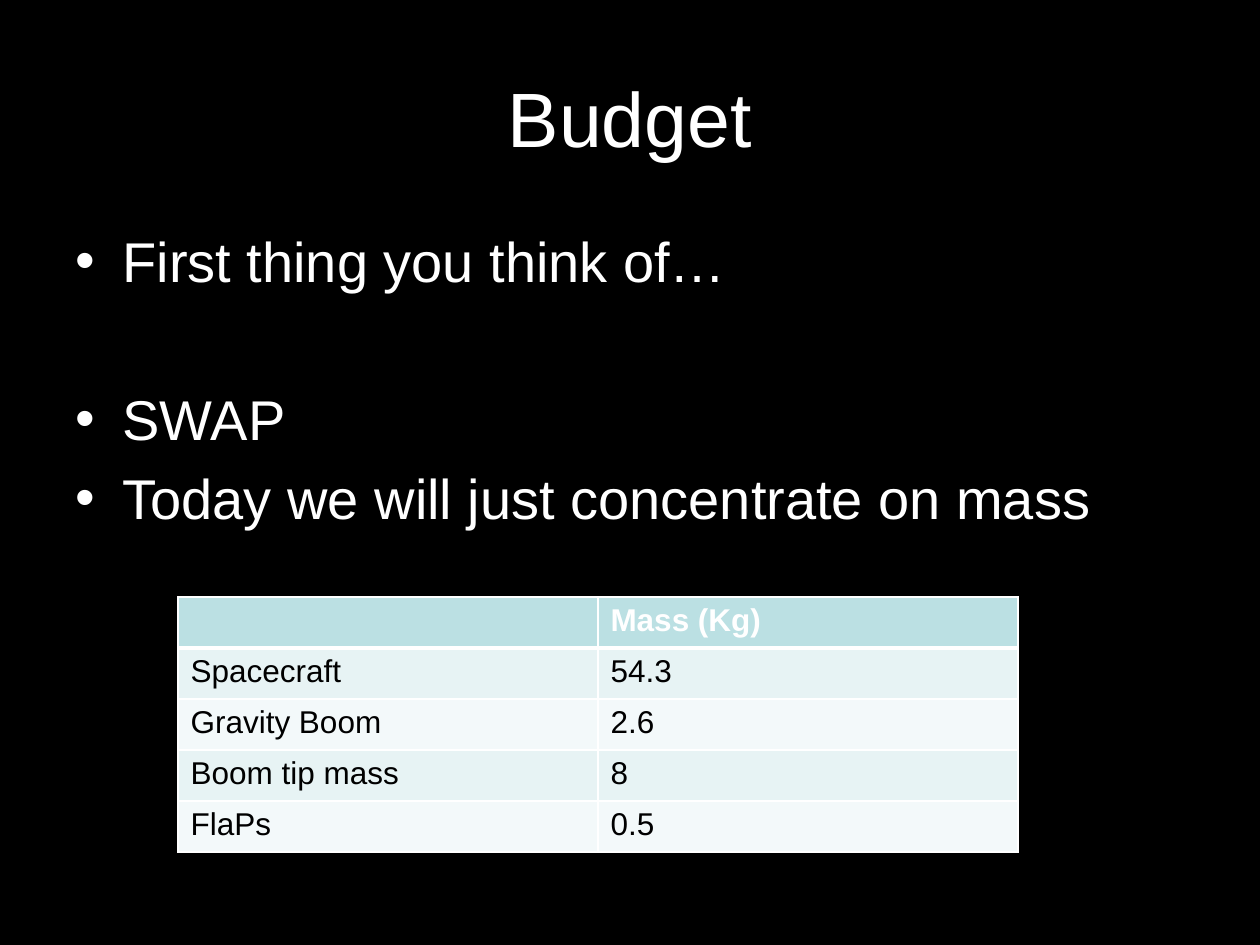
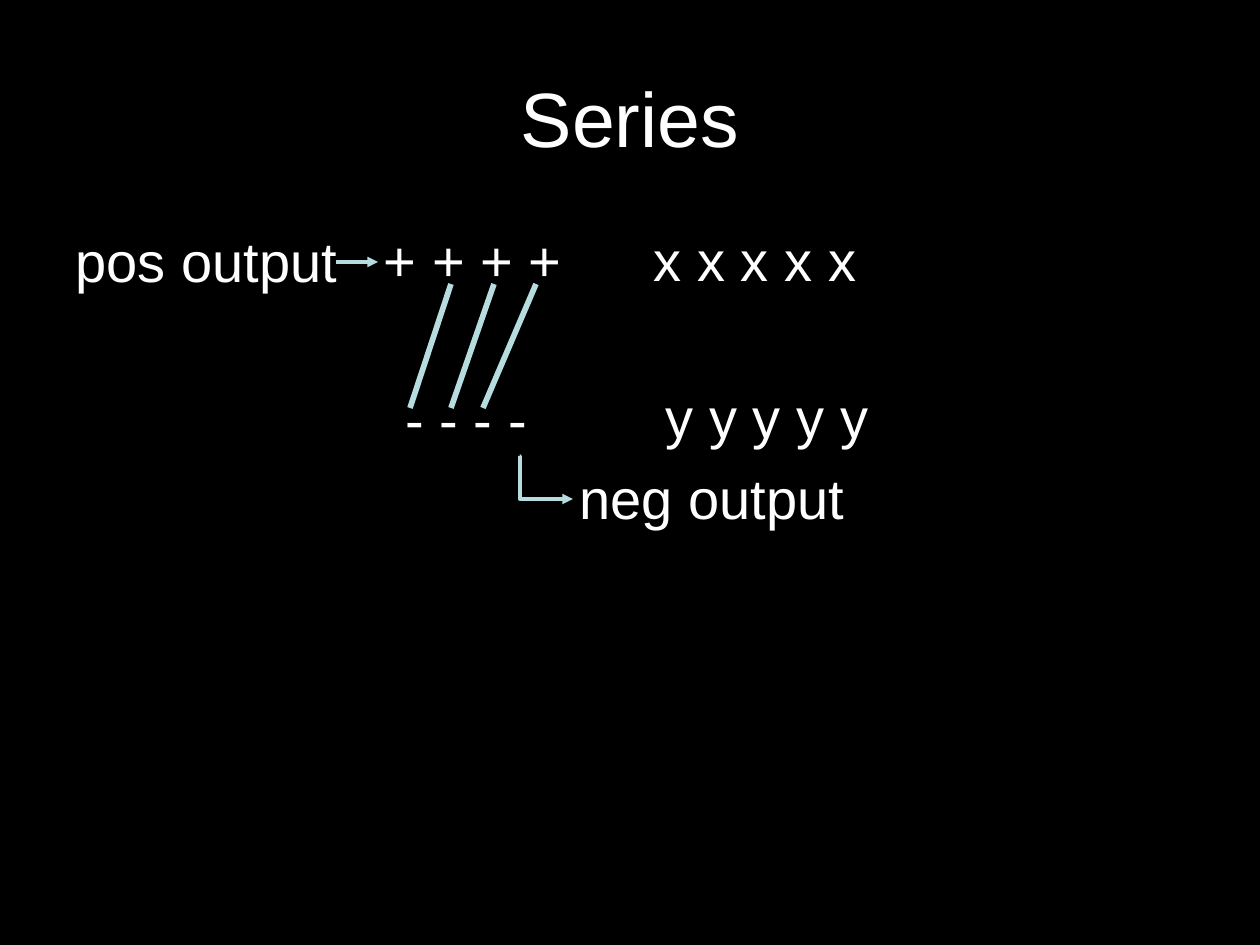
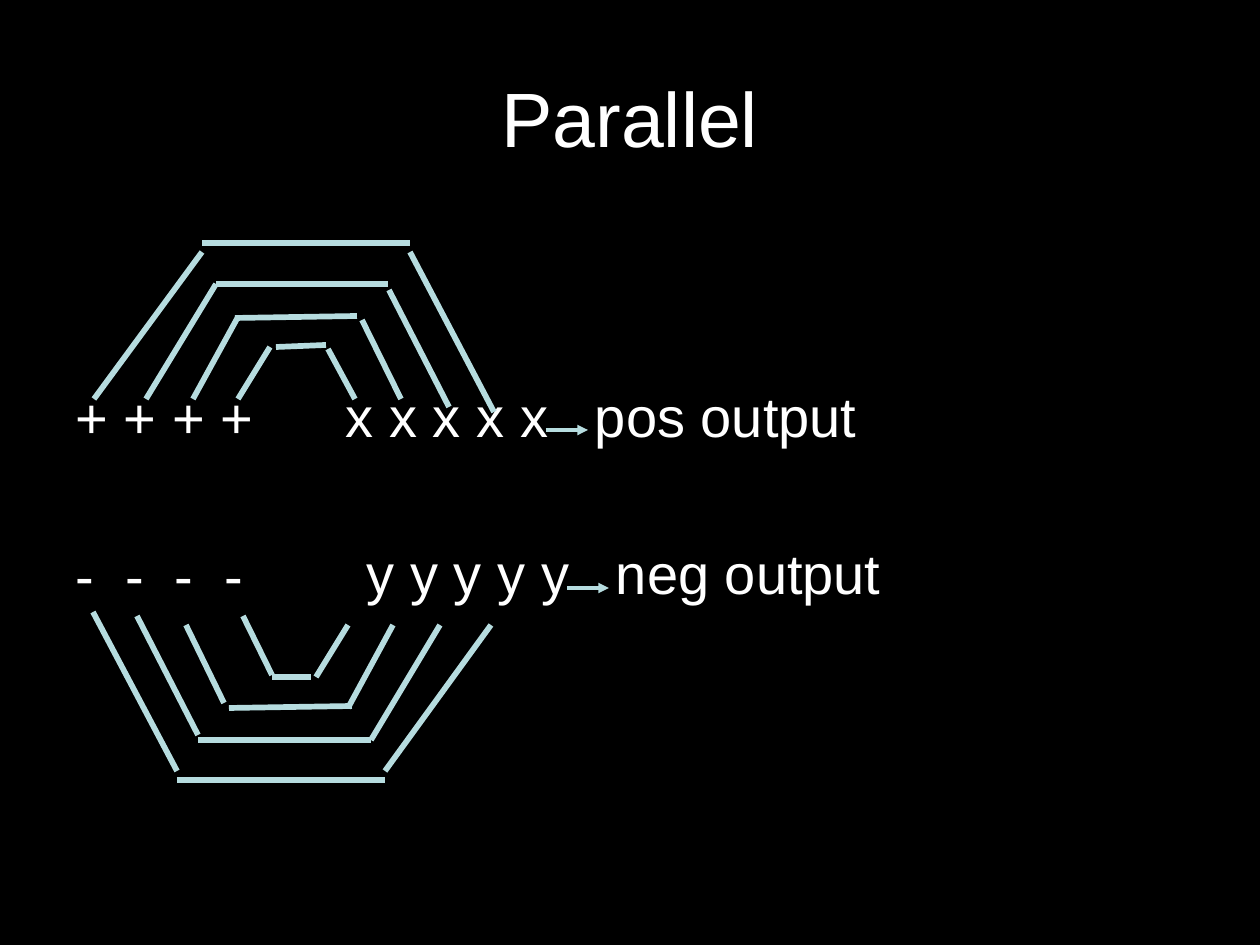
import pptx
import pptx.util
import pptx.dml.color
import pptx.enum.shapes
import pptx.enum.text
import pptx.oxml
import pptx.oxml.ns

RGBColor = pptx.dml.color.RGBColor
CONNECTOR = pptx.enum.shapes.MSO_CONNECTOR
ALIGN = pptx.enum.text.PP_ALIGN
ANCHOR = pptx.enum.text.MSO_ANCHOR

PX = 914400 / 126
FONT = "Arial"
BLACK = RGBColor(0x00, 0x00, 0x00)
WHITE = RGBColor(0xFF, 0xFF, 0xFF)
WIRE = RGBColor(0xB6, 0xDC, 0xDF)
HEADER_FILL = RGBColor(0xBB, 0xE0, 0xE3)
ROW_FILLS = [RGBColor(0xE7, 0xF3, 0xF4), RGBColor(0xF3, 0xF9, 0xFA)]

THICK, THIN = 3.25, 2  # line weights in points
TITLE_SIZE, BODY_SIZE = 44, 32
BODY_TOP, TOP_INSET = 220, 6
LINE_HEIGHT, LINE_PITCH = 64, 79
BULLET_INDENT = 47
NEXT_LINE, SKIP_LINE = 7, 51.9  # space before, in points


def add_element(parent, tag, **attributes):
    element = pptx.oxml.parse_xml(f"<{tag} {pptx.oxml.ns.nsdecls('a')}/>")
    for name, value in attributes.items():
        element.set(name, str(value))
    parent.append(element)
    return element


def draw_wire(shapes, ends, weight=THICK, kind=CONNECTOR.STRAIGHT, arrow=False):
    wire = shapes.add_connector(kind, *(round(value * PX) for value in ends))
    wire.line.color.rgb = WIRE
    wire.line.width = pptx.util.Pt(weight)
    if arrow:
        add_element(wire.line._get_or_add_ln(), "a:tailEnd", type="triangle")
    add_element(wire._element.spPr, "a:effectLst")
    return wire


# Each slide: title, top inset, bulleted,
# body lines of (text, space before, left indent), labels of (text, left, top)
FIRST_ROW = BODY_TOP + TOP_INSET
PARALLEL_INSET = TOP_INSET + 2 * LINE_PITCH - 2
PARALLEL_ROW = BODY_TOP + PARALLEL_INSET
SLIDES = [
    ("Budget", TOP_INSET, True, [
        ("First thing you think of…", 0, BULLET_INDENT),
        ("SWAP", SKIP_LINE, BULLET_INDENT),
        ("Today we will just concentrate on mass", NEXT_LINE, BULLET_INDENT),
    ], []),
    ("Series", TOP_INSET, False, [
        ("pos output", 0, 0),
        ("- - - -", SKIP_LINE, 330),
        ("neg output", NEXT_LINE, 504),
    ], [
        ("+ + + +", 384, FIRST_ROW),
        ("x x x x x", 654, FIRST_ROW),
        ("y y y y y", 666, FIRST_ROW + 2 * LINE_PITCH - 1),
    ]),
    ("Parallel", PARALLEL_INSET, False, [
        ("+ + + +", 0, 0),
        ("- - - -", SKIP_LINE, 0),
    ], [
        ("x x x x x", 346, PARALLEL_ROW),
        ("pos output", 595, PARALLEL_ROW),
        ("y y y y y", 367, PARALLEL_ROW + 2 * LINE_PITCH - 1),
        ("neg output", 616, PARALLEL_ROW + 2 * LINE_PITCH - 1),
    ]),
]

presentation = pptx.Presentation()
presentation.slide_width = pptx.util.Inches(10)
presentation.slide_height = pptx.util.Inches(7.5)
background = presentation.slide_master.background.fill
background.solid()
background.fore_color.rgb = BLACK

# Titles, body text and labels
slides = []
for title_text, inset, bulleted, lines, labels in SLIDES:
    slide = presentation.slides.add_slide(presentation.slide_layouts[1])
    slides.append(slide)
    title, body = slide.shapes.title, slide.placeholders[1]
    title.text_frame.text = title_text
    title.text_frame.vertical_anchor = ANCHOR.MIDDLE
    title.text_frame.paragraphs[0].alignment = ALIGN.CENTER
    body.text_frame.text = "\n".join(text for text, _, _ in lines)
    body.text_frame.margin_top = round(inset * PX)

    for paragraph, (_, space, indent) in zip(body.text_frame.paragraphs, lines):
        properties = paragraph._p.get_or_add_pPr()
        properties.set("marL", str(round(indent * PX)))
        properties.set("indent", str(round(-indent * PX) if bulleted else 0))
        if bulleted:
            add_element(properties, "a:buFont", typeface=FONT)
            add_element(properties, "a:buChar", char="•")
        else:
            add_element(properties, "a:buNone")
        paragraph.space_before = pptx.util.Pt(space)

    boxes = [(title, 63, 38, 1134, 157, TITLE_SIZE),
             (body, 63, BODY_TOP, 1134, 624, BODY_SIZE)]
    for text, left, top in labels:
        label = slide.shapes.add_textbox(0, 0, 0, 0)
        frame = label.text_frame
        frame.text = text
        frame.margin_left = frame.margin_right = 0
        frame.margin_top = frame.margin_bottom = 0
        boxes.append((label, left, top, 290, LINE_HEIGHT, BODY_SIZE))

    for shape, left, top, width, height, size in boxes:
        shape.left, shape.top = round(left * PX), round(top * PX)
        shape.width, shape.height = round(width * PX), round(height * PX)
        shape.text_frame.word_wrap = True
        shape.text_frame.auto_size = pptx.enum.text.MSO_AUTO_SIZE.NONE
        for paragraph in shape.text_frame.paragraphs:
            for run in paragraph.runs:
                run.font.name = FONT
                run.font.size = pptx.util.Pt(size)
                run.font.color.rgb = WHITE

budget, series, parallel = slides

# Budget: mass table
MASSES = [
    ("", "Mass (Kg)"),
    ("Spacecraft", "54.3"),
    ("Gravity Boom", "2.6"),
    ("Boom tip mass", "8"),
    ("FlaPs", "0.5"),
]
table = budget.shapes.add_table(
    len(MASSES), 2, *(round(value * PX) for value in (178, 597, 840, 255))).table
for row, values in enumerate(MASSES):
    for column, value in enumerate(values):
        cell = table.cell(row, column)
        cell.text_frame.text = value
        for run in cell.text_frame.paragraphs[0].runs:
            run.font.name = FONT
            run.font.size = pptx.util.Pt(18)
            run.font.bold = row == 0
            run.font.color.rgb = BLACK if row else WHITE
        cell_properties = cell._tc.get_or_add_tcPr()
        for side in "LRTB":
            heavy = (row, side) in [(0, "B"), (1, "T")]
            border = add_element(cell_properties, f"a:ln{side}",
                                 w=pptx.util.Pt(3 if heavy else 1))
            add_element(add_element(border, "a:solidFill"), "a:srgbClr", val=WHITE)
        cell.fill.solid()
        cell.fill.fore_color.rgb = ROW_FILLS[(row - 1) % 2] if row else HEADER_FILL

# Series: links from each plus to the minus before it, then the outputs
for minus_x, plus_x in [(410, 451), (451, 494), (483, 536)]:
    draw_wire(series.shapes, (minus_x, 408, plus_x, 284))
draw_wire(series.shapes, (336, 262, 378, 262), THIN, arrow=True)
elbow = draw_wire(series.shapes, (520, 456, 573, 499), THIN, CONNECTOR.ELBOW, arrow=True)
adjustments = elbow._element.spPr.prstGeom.get_or_add_avLst()
add_element(adjustments, "a:gd", name="adj1", fmla="val 200")

# Parallel: widen the row of minus signs
for run in parallel.placeholders[1].text_frame.paragraphs[1].runs:
    run._r.get_or_add_rPr().set("spc", "445")

# Parallel: nested arches, each a left leg, a bar and a right leg
UPPER_ARCHES = [
    [(94, 399, 202, 252), (410, 243, 202, 243), (494, 412, 410, 252)],
    [(146, 399, 216, 284), (388, 284, 216, 284), (389, 290, 449, 407)],
    [(193, 399, 238, 317), (357, 316, 235, 318), (362, 320, 401, 399)],
    [(238, 399, 270, 347), (326, 345, 276, 347), (328, 349, 355, 399)],
]
LOWER_ARCHES = [
    [(93, 612, 177, 771), (177, 780, 385, 780), (491, 625, 385, 771)],
    [(198, 735, 137, 616), (198, 740, 371, 740), (440, 625, 371, 740)],
    [(224, 703, 186, 625), (229, 708, 352, 706), (393, 625, 348, 708)],
    [(272, 675, 243, 616), (272, 677, 311, 677), (348, 625, 316, 677)],
]
for arches in (UPPER_ARCHES, LOWER_ARCHES):
    group = parallel.shapes.add_group_shape()
    for arch in arches:
        for ends in arch:
            draw_wire(group.shapes, ends)
for left, y in [(546, 430), (567, 588)]:
    draw_wire(parallel.shapes, (left, y, left + 42, y), THIN, arrow=True)

presentation.save("out.pptx")
